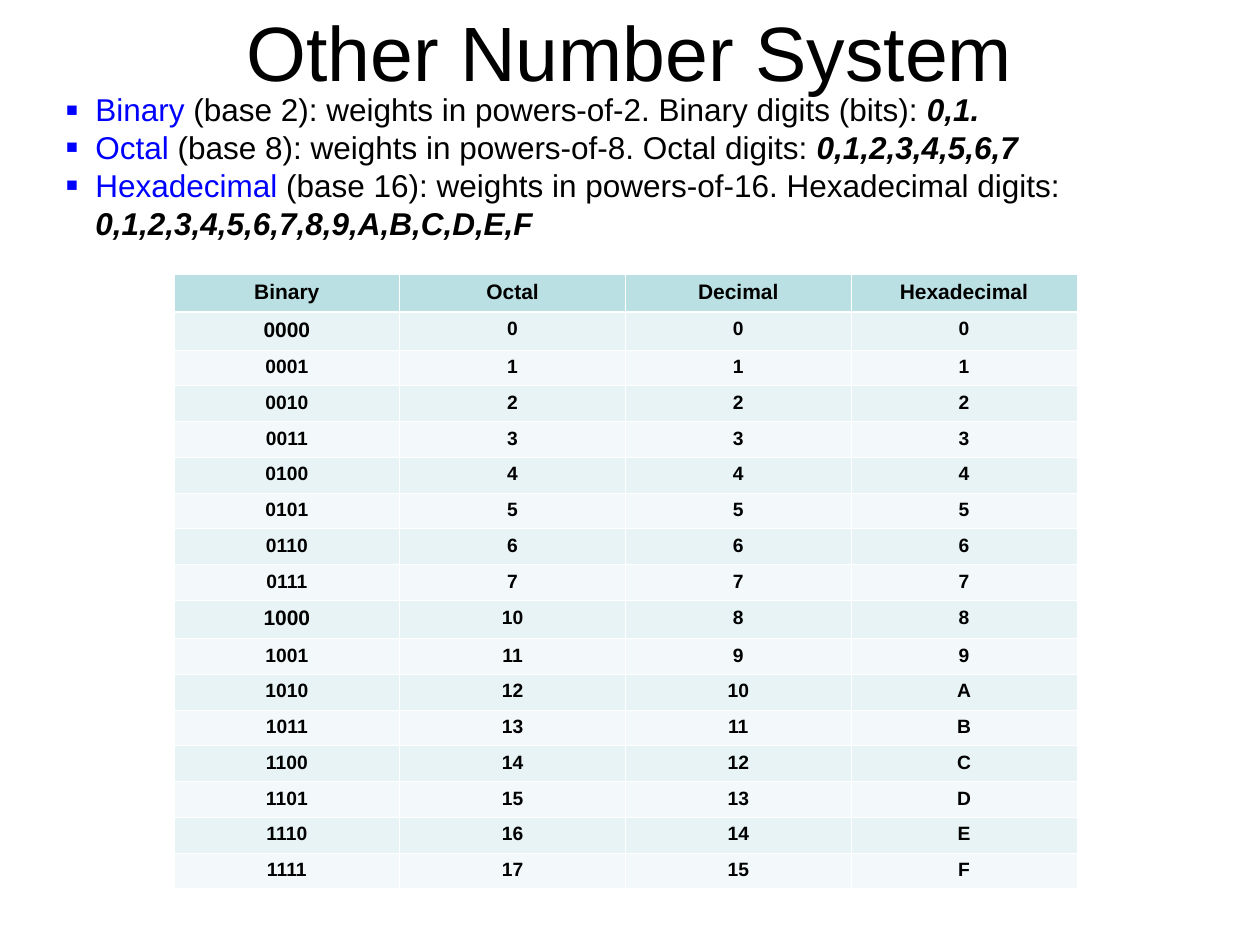
"""Builds a slide comparing binary, octal, decimal and hexadecimal numbers."""
from dataclasses import dataclass

from lxml.etree import SubElement
from pptx import Presentation
from pptx.dml.color import RGBColor
from pptx.enum.text import MSO_ANCHOR as Anchor, MSO_AUTO_SIZE as AutoSize, PP_ALIGN as Align
from pptx.oxml.ns import qn
from pptx.util import Pt

EMU_PER_PX = 914400 / 126
FONT = "Arial"
BLACK, BLUE, WHITE = "000000", "0000FF", "FFFFFF"
HEADER_FILL, ODD_FILL, EVEN_FILL = "BBE0E3", "E7F3F4", "F3F9FA"
THIN, THICK = 0.45, 1.47
HANGING = 30
BASES = {"Binary": "04b", "Octal": "o", "Decimal": "d", "Hexadecimal": "X"}
TALL_ROWS = (0, 1, 9)
TALL_HEIGHT = 38


@dataclass(frozen=True)
class Box:
    left: int
    top: int
    width: int
    height: int


@dataclass(frozen=True)
class NumberSystem:
    name: str
    description: str
    digits: str


TITLE_BOX = Box(63, -4, 1134, 110)
SYSTEMS_BOX = Box(53, 84, 1144, 164)
TABLE_BOX = Box(174, 274, 903, 614)

SYSTEMS = (
    NumberSystem("Binary", " (base 2): weights in powers-of-2. Binary digits (bits): ", "0,1."),
    NumberSystem("Octal ", "(base 8): weights in powers-of-8. Octal digits: ", "0,1,2,3,4,5,6,7"),
    NumberSystem("Hexadecimal ", "(base 16): weights in powers-of-16. Hexadecimal digits: ",
                 "0,1,2,3,4,5,6,7,8,9,A,B,C,D,E,F"),
)


def px(length: float) -> int:
    return round(length * EMU_PER_PX)


def place(box: Box) -> tuple:
    return px(box.left), px(box.top), px(box.width), px(box.height)


def color(value: str) -> RGBColor:
    return RGBColor.from_string(value)


def add_run(paragraph, text: str, size: float, hue: str = BLACK, **extra) -> None:
    run = paragraph.add_run()
    run.text = text
    run.font.color.rgb = color(hue)
    for name, value in {"name": FONT, "size": Pt(size), **extra}.items():
        setattr(run.font, name, value)


def add_text_frame(slide, box: Box, **settings):
    frame = slide.shapes.add_textbox(*place(box)).text_frame
    for name, value in {"word_wrap": True, **settings}.items():
        setattr(frame, name, value)
    return frame


def add_title(slide) -> None:
    frame = add_text_frame(slide, TITLE_BOX, vertical_anchor=Anchor.MIDDLE)
    title = frame.paragraphs[0]
    title.alignment = Align.CENTER
    add_run(title, "Other Number System", 44)


def add_bullet(paragraph) -> None:
    properties = paragraph._p.get_or_add_pPr()
    properties.set("marL", str(px(HANGING)))
    properties.set("indent", str(-px(HANGING)))
    bullet_color = SubElement(properties, qn("a:buClr"))
    SubElement(bullet_color, qn("a:srgbClr"), val=BLUE)
    SubElement(properties, qn("a:buSzPct"), val="120000")
    SubElement(properties, qn("a:buFont"), typeface=FONT)
    SubElement(properties, qn("a:buChar"), char="▪")


def add_systems(slide) -> None:
    frame = add_text_frame(slide, SYSTEMS_BOX, auto_size=AutoSize.SHAPE_TO_FIT_TEXT)
    for index, system in enumerate(SYSTEMS):
        line = frame.add_paragraph() if index else frame.paragraphs[0]
        line.line_spacing = Pt(21.6)
        add_bullet(line)
        add_run(line, system.name, 18, BLUE)
        add_run(line, system.description, 18)
        add_run(line, system.digits, 18, bold=True, italic=True)


def add_borders(cell, row: int) -> None:
    widths = {"a:lnL": THIN, "a:lnR": THIN,
              "a:lnT": THICK if row == 1 else THIN,
              "a:lnB": THICK if row == 0 else THIN}
    properties = cell._tc.get_or_add_tcPr()
    for position, (side, width) in enumerate(widths.items()):
        border = SubElement(properties, qn(side), w=str(Pt(width)))
        fill = SubElement(border, qn("a:solidFill"))
        SubElement(fill, qn("a:srgbClr"), val=WHITE)
        properties.insert(position, border)


def fill_cell(cell, text: str, row: int, size: int) -> None:
    hue = HEADER_FILL if row == 0 else ODD_FILL if row % 2 else EVEN_FILL
    cell.fill.solid()
    cell.fill.fore_color.rgb = color(hue)
    add_borders(cell, row)
    paragraph = cell.text_frame.paragraphs[0]
    paragraph.alignment = Align.CENTER
    add_run(paragraph, text, size, bold=True)


def add_conversion_table(slide) -> None:
    numbers = [[format(n, code) for code in BASES.values()] for n in range(16)]
    entries = [list(BASES), *numbers]
    table = slide.shapes.add_table(len(entries), len(BASES), *place(TABLE_BOX)).table
    short_height = (TABLE_BOX.height - TALL_HEIGHT * len(TALL_ROWS)) / (len(entries) - len(TALL_ROWS))
    for column in table.columns:
        column.width = px(TABLE_BOX.width / len(BASES))
    for row, texts in enumerate(entries):
        tall = row in TALL_ROWS
        table.rows[row].height = px(TALL_HEIGHT if tall else short_height)
        for column, text in enumerate(texts):
            large = row == 0 or (tall and column == 0)
            fill_cell(table.cell(row, column), text, row, 12 if large else 11)


def main() -> None:
    deck = Presentation()
    deck.slide_width, deck.slide_height = px(1260), px(945)
    slide = deck.slides.add_slide(deck.slide_layouts[6])
    slide.background.fill.solid()
    slide.background.fill.fore_color.rgb = color(WHITE)
    add_title(slide)
    add_systems(slide)
    add_conversion_table(slide)
    deck.save("out.pptx")


if __name__ == "__main__":
    main()
